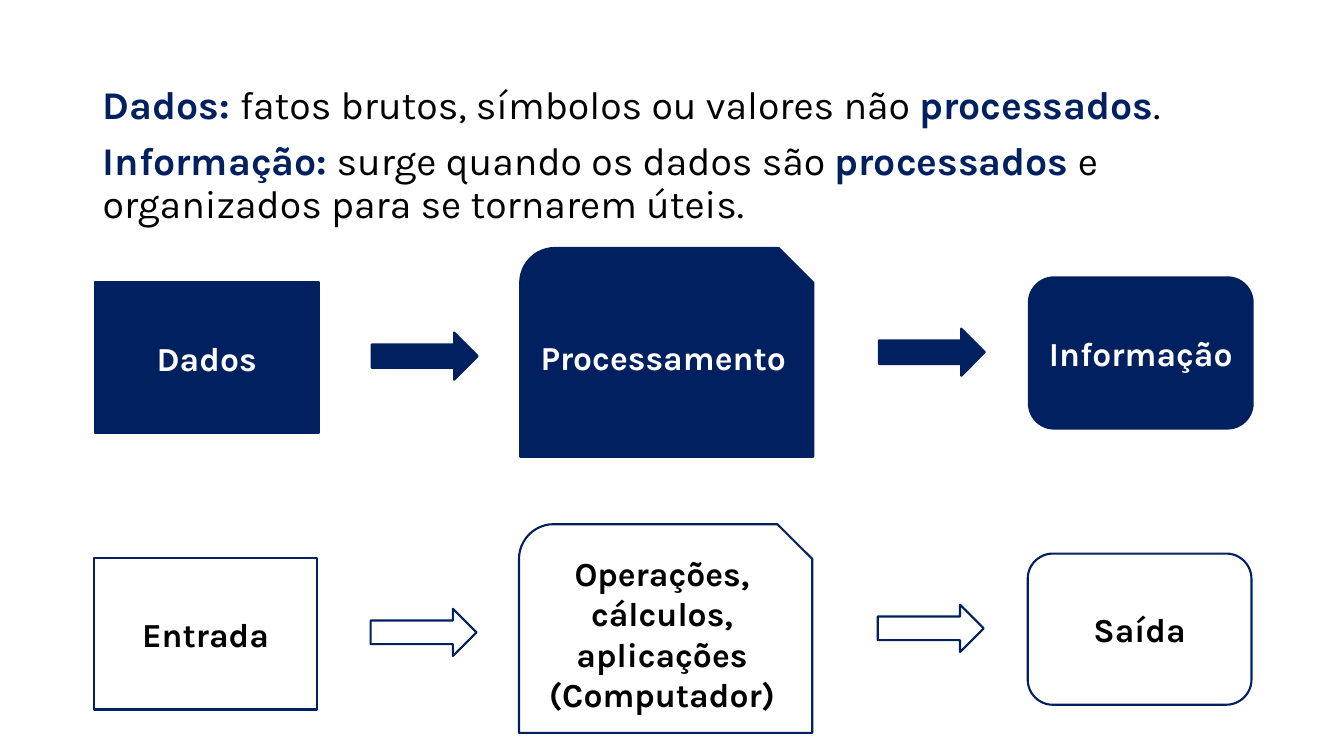
from pptx import Presentation
from pptx.dml.color import RGBColor
from pptx.enum.shapes import MSO_SHAPE
from pptx.enum.text import MSO_ANCHOR, PP_ALIGN
from pptx.util import Cm, Pt

COLORS = {"navy": "002060", "black": "000000", "white": "FFFFFF"}
FONT_NAME = "Karla"

# Shape type, left, top, width, height (cm) of each step in a flow
FLOW_STEPS = [
    (MSO_SHAPE.RECTANGLE, 2.39, 7.11, 5.64, 3.81),
    (MSO_SHAPE.RIGHT_ARROW, 9.37, 8.38, 2.67, 1.19),
    (MSO_SHAPE.SNIP_ROUND_RECTANGLE, 13.11, 6.25, 7.39, 5.26),
    (MSO_SHAPE.RIGHT_ARROW, 22.15, 8.28, 2.67, 1.19),
    (MSO_SHAPE.ROUNDED_RECTANGLE, 25.93, 6.99, 5.64, 3.81),
]

# Each definition is a list of (text, is a key term)
DEFINITIONS = [
    [("Dados: ", True), ("fatos brutos, símbolos ou valores não ", False),
     ("processados", True), (".", False)],
    [("Informação:", True), (" surge quando os dados são ", False),
     ("processados", True),
     (" e organizados para se tornarem úteis.", False)],
]


def color(name):
    return RGBColor.from_string(COLORS[name])


def set_attributes(target, values):
    for name, value in values.items():
        setattr(target, name, value)


def add_run(paragraph, text, size, color_name, bold):
    run = paragraph.add_run()
    run.text = text
    set_attributes(run.font, {"name": FONT_NAME, "size": Pt(size), "bold": bold})
    run.font.color.rgb = color(color_name)


def add_definitions(slide):
    box = slide.shapes.add_textbox(Cm(2.34), Cm(2.03), Cm(29.21), Cm(5.46))
    frame = box.text_frame
    frame.word_wrap = True
    for index, definition in enumerate(DEFINITIONS):
        paragraph = frame.paragraphs[0] if index == 0 else frame.add_paragraph()
        set_attributes(paragraph, {"line_spacing": 0.9,
                                   "space_before": Pt(10 if index else 0)})
        for text, is_term in definition:
            add_run(paragraph, text, 28, "navy" if is_term else "black", is_term)


def add_step(slide, kind, position, lines, filled):
    shape = slide.shapes.add_shape(kind, *(Cm(value) for value in position))
    shape.shadow.inherit = False
    if filled:
        shape.fill.solid()
        shape.fill.fore_color.rgb = color("navy")
    else:
        shape.fill.background()
    shape.line.color.rgb = color("navy")
    shape.line.width = Pt(1.5)

    frame = shape.text_frame
    set_attributes(frame, {"word_wrap": True,
                           "vertical_anchor": MSO_ANCHOR.MIDDLE})
    for index, line in enumerate(lines):
        paragraph = frame.paragraphs[0] if index == 0 else frame.add_paragraph()
        paragraph.alignment = PP_ALIGN.CENTER
        add_run(paragraph, line, 24, "white" if filled else "black", True)


def add_flow(slide, labels, filled, shift_left=0, shift_top=0):
    remaining_labels = iter(labels)
    for kind, left, top, width, height in FLOW_STEPS:
        lines = [] if kind == MSO_SHAPE.RIGHT_ARROW else next(remaining_labels)
        position = (left + shift_left, top + shift_top, width, height)
        add_step(slide, kind, position, lines, filled)


def main():
    presentation = Presentation()
    set_attributes(presentation, {"slide_width": Cm(33.87),
                                  "slide_height": Cm(19.05)})
    slide = presentation.slides.add_slide(presentation.slide_layouts[6])

    # Definitions at the top
    add_definitions(slide)

    # Concept flow, then its practical counterpart below
    add_flow(slide, [["Dados"], ["Processamento"], ["Informação"]], True)
    add_flow(slide, [["Entrada"],
                     ["Operações, cálculos, aplicações", "(Computador)"],
                     ["Saída"]], False, -0.03, 6.96)

    presentation.save("out.pptx")


if __name__ == "__main__":
    main()
